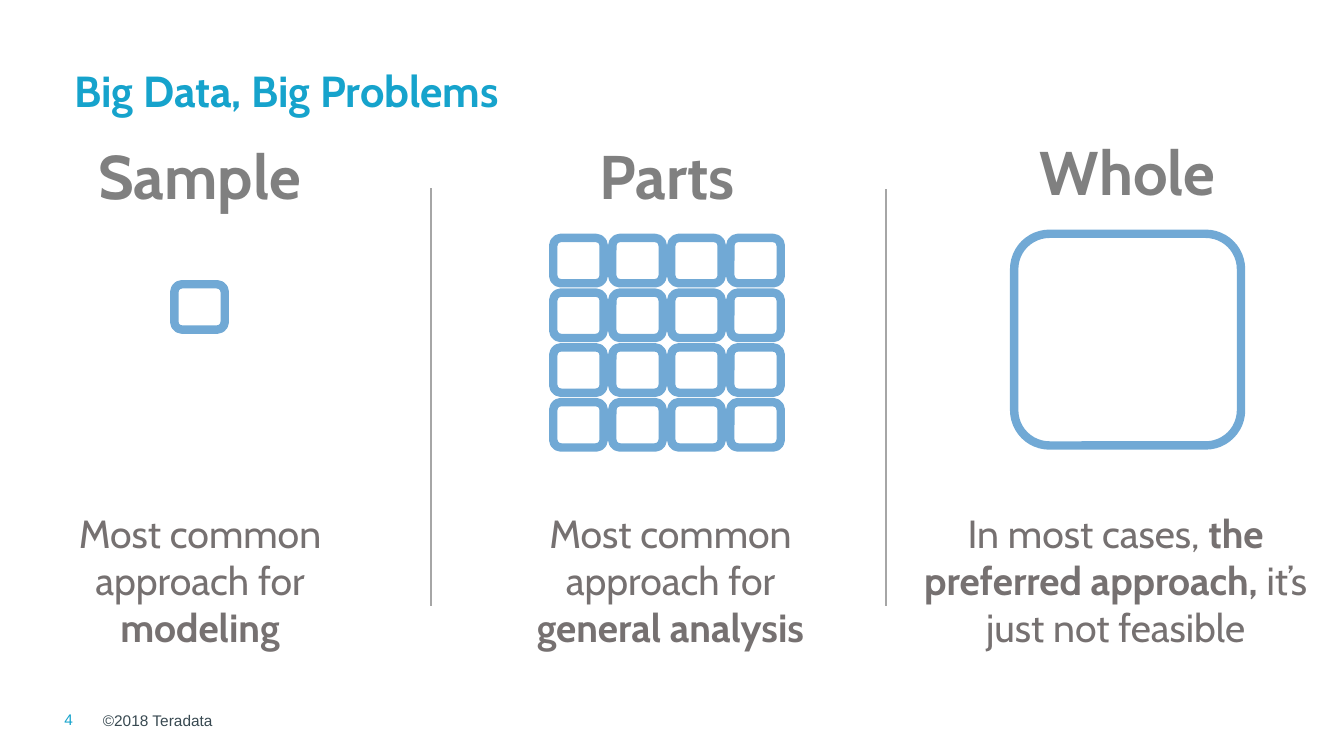
import pptx
import pptx.dml.color
import pptx.enum.shapes
import pptx.enum.text
import pptx.util
from lxml import etree

RGBColor = pptx.dml.color.RGBColor
Align = pptx.enum.text.PP_ALIGN
Anchor = pptx.enum.text.MSO_ANCHOR

TEAL = RGBColor(0x16, 0xA3, 0xCC)
SLATE = RGBColor(0x38, 0x49, 0x51)
HEADING_GRAY = RGBColor(0x80, 0x80, 0x80)
CAPTION_GRAY = RGBColor(0x76, 0x71, 0x71)
RULE_GRAY = RGBColor(0xA6, 0xA6, 0xA6)
BLUE = RGBColor(0x71, 0xA9, 0xD5)
WHITE = RGBColor(0xFF, 0xFF, 0xFF)

DRAWING_NAMESPACE = "http://schemas.openxmlformats.org/drawingml/2006/main"


class SlideBuilder:
    """Places elements by percent of the slide's width and height."""

    heading_font = "Cabin"
    footer_font = "Arial"

    def __init__(self, presentation):
        self.width = presentation.slide_width
        self.height = presentation.slide_height
        self.slide = presentation.slides.add_slide(presentation.slide_layouts[6])

    def across(self, share):
        return round(self.width * share / 100)

    def down(self, share):
        return round(self.height * share / 100)

    def box(self, left, top, width, height):
        return (self.across(left), self.down(top),
                self.across(width), self.down(height))

    def text(self, left, top, width, height, runs, size, color, font=heading_font,
             align=Align.LEFT, anchor=Anchor.TOP, inset=(0, 0), spacing=None, wrap=True):
        """Each run is a pair of its words and whether they are bold."""
        shape = self.slide.shapes.add_textbox(*self.box(left, top, width, height))
        frame = shape.text_frame
        frame.word_wrap = wrap
        frame.vertical_anchor = anchor
        frame.margin_left = frame.margin_right = pptx.util.Inches(inset[0])
        frame.margin_top = frame.margin_bottom = pptx.util.Inches(inset[1])
        paragraph = frame.paragraphs[0]
        paragraph.alignment = align
        paragraph.line_spacing = spacing
        for words, bold in runs:
            run = paragraph.add_run()
            run.text = words
            run.font.name = font
            run.font.size = pptx.util.Pt(size)
            run.font.bold = bold
            run.font.color.rgb = color

    def centered_text(self, center, top, width, height, runs, size, color):
        self.text(center - width / 2, top, width, height, runs, size, color,
                  align=Align.CENTER)

    def footer(self, left, width, words, color, anchor, wrap):
        self.text(left, 94, width, 2.53, [(words, False)], 11, color,
                  font=self.footer_font, anchor=anchor, wrap=wrap)

    def tile(self, left, top, width, height):
        shape = self.slide.shapes.add_shape(
            pptx.enum.shapes.MSO_SHAPE.ROUNDED_RECTANGLE,
            *self.box(left, top, width, height))
        shape.shadow.inherit = False
        shape.fill.solid()
        shape.fill.fore_color.rgb = WHITE
        shape.line.color.rgb = BLUE
        shape.line.width = pptx.util.Pt(6)

    def tile_grid(self, center, top, count, size, pitch):
        left = center - ((count - 1) * pitch[0] + size[0]) / 2
        for column in range(count):
            for row in range(count):
                self.tile(left + column * pitch[0], top + row * pitch[1], *size)

    def divider(self, x, top, bottom):
        connector = self.slide.shapes.add_connector(
            pptx.enum.shapes.MSO_CONNECTOR.STRAIGHT,
            self.across(x), self.down(top), self.across(x), self.down(bottom))
        connector.line.color.rgb = RULE_GRAY
        connector.line.width = pptx.util.Pt(1.5)
        etree.SubElement(connector.element.spPr, f"{{{DRAWING_NAMESPACE}}}effectLst")


def main():
    presentation = pptx.Presentation()
    presentation.slide_width = pptx.util.Inches(13.33)
    presentation.slide_height = pptx.util.Inches(7.5)
    builder = SlideBuilder(presentation)

    # Title and footer
    builder.text(4.8, 5.73, 86.25, 10.4, [("Big Data, Big Problems", True)], 31, TEAL,
                 anchor=Anchor.BOTTOM, inset=(0.1, 0.05), spacing=0.9)
    builder.footer(4.8, 1.43, "4", TEAL, Anchor.TOP, False)
    builder.footer(7.65, 22.5, "©2018 Teradata", SLATE, Anchor.MIDDLE, True)

    # Headings: words, column center, top
    for words, center, top in (("Sample", 14.85, 18.27),
                               ("Parts", 49.63, 18.27),
                               ("Whole", 83.9, 17.73)):
        builder.centered_text(center, top, 19.35, 9.87, [(words, True)], 44, HEADING_GRAY)

    # Tile diagrams: column center, top, tiles per side, tile size
    small, large = (3.75, 6), (16.88, 28)
    for center, top, count, size in ((14.85, 37.6, 1, small),
                                     (49.63, 31.47, 4, small),
                                     (83.9, 30.93, 1, large)):
        builder.tile_grid(center, top, count, size, pitch=(4.39, 7.24))

    # Dividers between columns
    builder.divider(32.1, 24.93, 80.13)
    builder.divider(65.93, 25.07, 80.13)

    # Captions: column center, width, runs
    common = ("Most common approach for ", False)
    captions = (
        (14.88, 21.2, [common, ("modeling", True)]),
        (49.88, 23.1, [common, ("general analysis", True)]),
        (83, 28.73, [("In most cases, ", False), ("the preferred approach,", True),
                     (" it’s just not feasible", False)]),
    )
    for center, width, runs in captions:
        builder.centered_text(center, 67.33, width, 18.8, runs, 28, CAPTION_GRAY)

    presentation.save("out.pptx")


if __name__ == "__main__":
    main()
